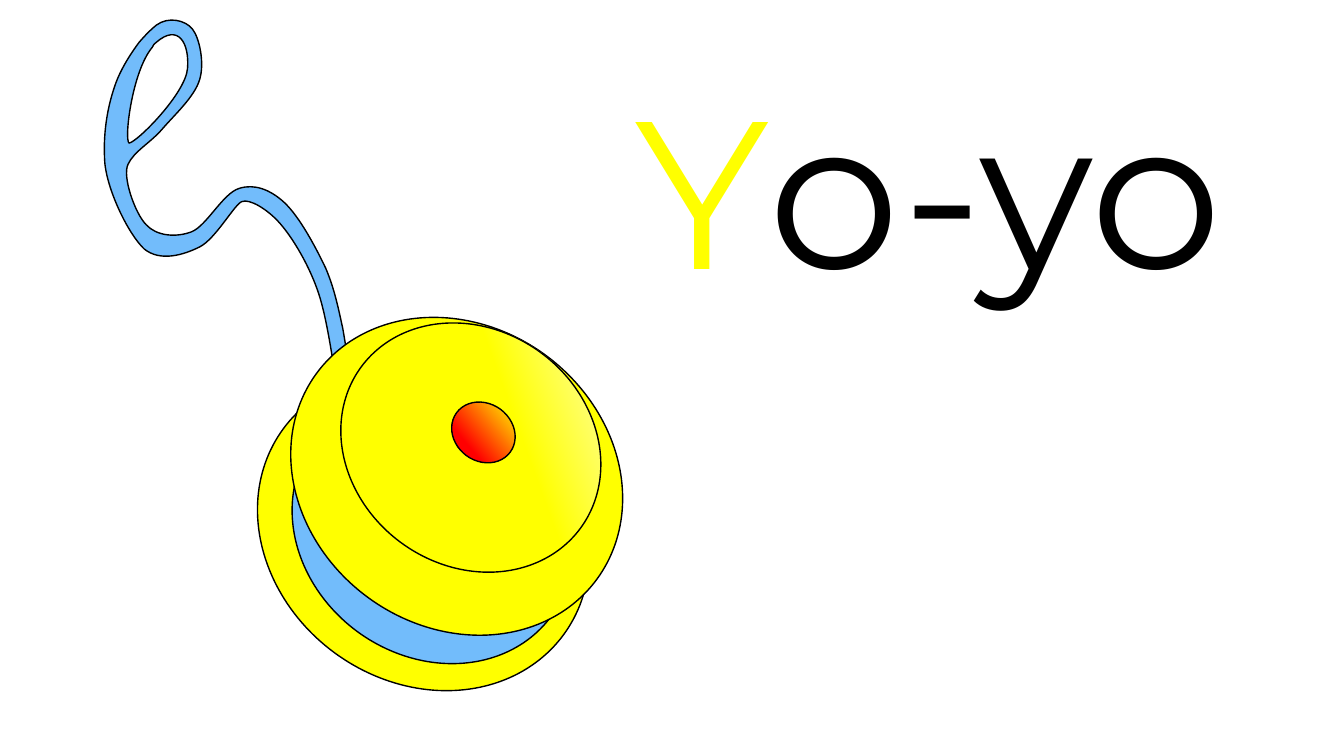
from lxml.etree import SubElement
from pptx import Presentation
from pptx.dml.color import RGBColor
from pptx.enum.shapes import MSO_SHAPE
from pptx.enum.text import MSO_ANCHOR, MSO_AUTO_SIZE, PP_ALIGN
from pptx.oxml.ns import qn
from pptx.util import Inches, Pt

YELLOW = RGBColor(0xFF, 0xFF, 0x00)
BLUE = RGBColor(0x72, 0xBC, 0xFB)
RED = RGBColor(0xFF, 0x00, 0x00)
WHITE = RGBColor(0xFF, 0xFF, 0xFF)
BLACK = RGBColor(0x00, 0x00, 0x00)

TILT = 306.4

STRING_OUTLINE = [
    (1.38, 0.42),
    (1.44, 0.35), (1.5, 0.29), (1.55, 0.25),
    (1.67, 0.16), (1.84, 0.2), (1.91, 0.29),
    (1.98, 0.38), (2.03, 0.63), (1.98, 0.79),
    (1.93, 0.96), (1.73, 1.14), (1.61, 1.28),
    (1.49, 1.42), (1.33, 1.5), (1.27, 1.63),
    (1.21, 1.75), (1.34, 2.12), (1.45, 2.23),
    (1.55, 2.34), (1.74, 2.36), (1.9, 2.3),
    (2.05, 2.24), (2.21, 1.92), (2.37, 1.87),
    (2.52, 1.82), (2.68, 1.88), (2.82, 2.01),
    (2.97, 2.15), (3.13, 2.45), (3.23, 2.66),
    (3.32, 2.87), (3.36, 3.08), (3.4, 3.26),
    (3.43, 3.44), (3.47, 3.66), (3.46, 3.75),
    (3.45, 3.81), (3.39, 3.8), (3.33, 3.77),
    (3.3, 3.57), (3.24, 3.15), (3.16, 2.91),
    (3.07, 2.64), (2.91, 2.37), (2.78, 2.22),
    (2.65, 2.07), (2.47, 1.97), (2.4, 2),
    (2.33, 2.02), (2.14, 2.37), (1.98, 2.45),
    (1.82, 2.53), (1.59, 2.6), (1.43, 2.47),
    (1.28, 2.33), (1.07, 1.91), (1.04, 1.62),
    (1.02, 1.34), (1.06, 1.08), (1.14, 0.85),
    (1.19, 0.7), (1.29, 0.54), (1.38, 0.42),
]
LOOP_HOLE = [
    (1.51, 0.47),
    (1.31, 0.71), (1.23, 1.38), (1.28, 1.42),
    (1.36, 1.41), (1.84, 0.93), (1.86, 0.68),
    (1.88, 0.43), (1.77, 0.23), (1.55, 0.42),
    (1.53, 0.43), (1.52, 0.45), (1.51, 0.47),
]


def outline(shape):
    shape.shadow.inherit = False
    shape.line.color.rgb = BLACK
    shape.line.width = Pt(1)


def fill_gradient(shape, angle, stops):
    shape.fill.gradient()
    shape.fill.gradient_angle = angle
    for stop, (position, color) in zip(shape.fill.gradient_stops, stops):
        stop.position = position
        stop.color.rgb = color
    shape._element.spPr.find(qn("a:gradFill")).set("rotWithShape", "0")


def bend_segments(shape):
    segments = list(shape._element.iter(qn("a:lnTo")))
    for first in range(0, len(segments), 3):
        trio = segments[first:first + 3]
        parent = trio[0].getparent()
        curve = SubElement(parent, qn("a:cubicBezTo"))
        trio[0].addprevious(curve)
        for segment in trio:
            curve.append(segment.find(qn("a:pt")))
            parent.remove(segment)


def draw_string(toy, left, top):
    rim, hole = (
        [(left + Inches(x), top + Inches(y)) for x, y in points]
        for points in (STRING_OUTLINE, LOOP_HOLE)
    )
    builder = toy.shapes.build_freeform(*rim[0])
    builder.add_line_segments(rim[1:], close=True)
    builder.move_to(*hole[0])
    builder.add_line_segments(hole[1:], close=True)
    string = builder.convert_to_shape()
    bend_segments(string)
    string.fill.solid()
    string.fill.fore_color.rgb = BLUE
    outline(string)


def draw_disc(toy, left, top, x, y, width, height, color=None):
    disc = toy.shapes.add_shape(
        MSO_SHAPE.OVAL, left + Inches(x), top + Inches(y), Inches(width), Inches(height))
    disc.rotation = TILT
    if color is not None:
        disc.fill.solid()
        disc.fill.fore_color.rgb = color
    outline(disc)
    return disc


def draw_toy(page, left, top):
    toy = page.shapes.add_group_shape()
    draw_disc(toy, left, top, 2.71, 3.55, 2.98, 3.45, YELLOW)
    draw_string(toy, left, top)
    draw_disc(toy, left, top, 3.03, 3.79, 2.52, 2.92, BLUE)
    draw_disc(toy, left, top, 3.04, 3, 2.98, 3.45, YELLOW)
    face = draw_disc(toy, left, top, 3.5, 3.09, 2.34, 2.7)
    fill_gradient(face, 20, [(0.61, YELLOW), (1, WHITE)])
    button = draw_disc(toy, left, top, 4.51, 3.96, 0.57, 0.66)
    fill_gradient(button, 220, [(0.13, YELLOW), (0.67, RED)])


def write_title(page, left, top, width, height):
    title = page.shapes.title
    title.left, title.top, title.width, title.height = left, top, width, height
    frame = title.text_frame
    frame.word_wrap = True
    frame.auto_size = MSO_AUTO_SIZE.SHAPE_TO_FIT_TEXT
    frame.vertical_anchor = MSO_ANCHOR.TOP
    para = frame.paragraphs[0]
    para.alignment = PP_ALIGN.LEFT
    para.font.name = "Montserrat"
    para.font.size = Pt(150)
    for text, color in (("Y", YELLOW), ("o-yo", BLACK)):
        span = para.add_run()
        span.text = text
        span.font.color.rgb = color


def main():
    deck = Presentation()
    deck.slide_width = Inches(13.33)
    deck.slide_height = Inches(7.5)
    page = deck.slides.add_slide(deck.slide_layouts[5])
    write_title(page, Inches(6.2), Inches(0.54), Inches(7.09), Inches(2.63))
    draw_toy(page, Inches(0), Inches(0))
    deck.save("out.pptx")


if __name__ == "__main__":
    main()
